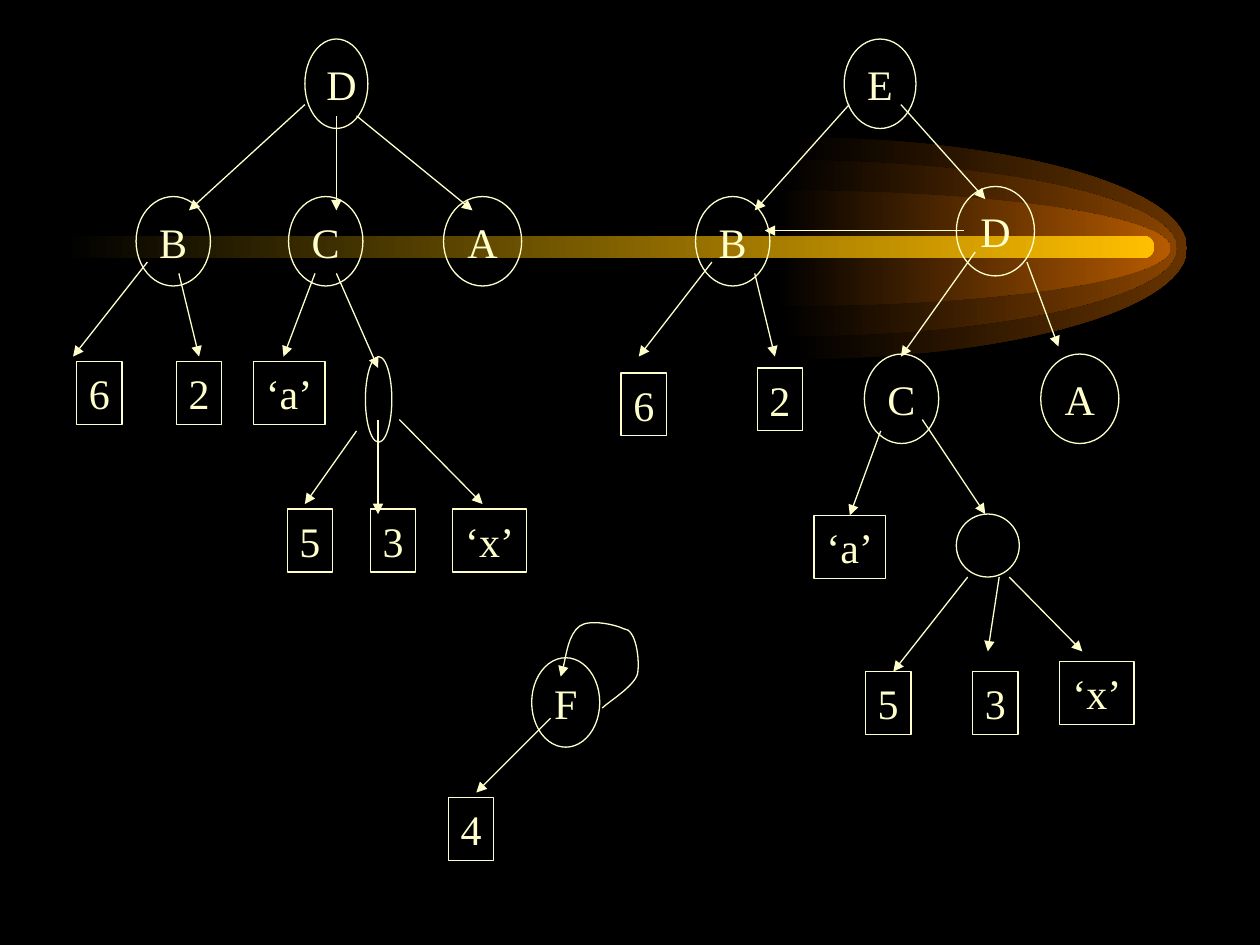
import lxml.etree
import pptx
import pptx.dml.color
import pptx.enum.shapes
import pptx.enum.text
import pptx.oxml.ns
import pptx.util

Inches = pptx.util.Inches
Kind = pptx.enum.shapes.MSO_SHAPE
qn = pptx.oxml.ns.qn
COLORS = {
    "back": "000000", "ink": "FFFFCC", "bar": "FFBF00",
    "outer": "663300", "middle": "894400", "inner": "B75B00",
}


def color(name):
    return pptx.dml.color.RGBColor.from_string(COLORS[name])


def write(frame, text, size=24, font="Times New Roman", ink="ink", wrap=False):
    frame.word_wrap = wrap
    frame.vertical_anchor = pptx.enum.text.MSO_ANCHOR.MIDDLE
    line = frame.paragraphs[0]
    line.alignment = pptx.enum.text.PP_ALIGN.CENTER
    run = line.add_run()
    run.text = text
    run.font.size = pptx.util.Pt(size)
    run.font.name = font
    run.font.color.rgb = color(ink)


class Board:
    def __init__(self, slide, ink="ink", width=0.75):
        self.slide = slide
        self.ink = ink
        self.width = width
        slide.background.fill.solid()
        slide.background.fill.fore_color.rgb = color("back")

    def stroke(self, shape, head=False):
        shape.line.color.rgb = color(self.ink)
        shape.line.width = pptx.util.Pt(self.width)
        if head:
            lxml.etree.SubElement(
                shape.get_or_add_ln(), qn("a:tailEnd"), type="triangle")

    def fade(self, shape, name):
        shape.shadow.inherit = False
        shape.line.fill.background()
        shape.fill.gradient()
        shape.fill.gradient_angle = 0
        for stop, tone, spot in zip(shape.fill.gradient_stops, ("back", name), (0, 1)):
            stop.color.rgb = color(tone)
            stop.position = spot

    def curve(self, points, close):
        points = [(Inches(x), Inches(y)) for x, y in points]
        form = self.slide.shapes.build_freeform(*points[0])
        form.add_line_segments(points[1:], close=close)
        shape = form.convert_to_shape()
        shape.shadow.inherit = False
        lines = list(shape.element.iter(qn("a:lnTo")))
        for i in range(0, len(points) - 1, 3):
            bend = lxml.etree.Element(qn("a:cubicBezTo"))
            lines[i].addprevious(bend)
            for line in lines[i:i + 3]:
                bend.append(line[0])
                line.getparent().remove(line)
        return shape

    def flame(self, x, half, name, y=1.97, long=3.13):
        bend, tip = x + long * 0.55, x + long
        points = [
            (x, y - half), (bend, y - half), (tip, y - half * 0.55), (tip, y),
            (tip, y + half * 0.55), (bend, y + half), (x, y + half)]
        self.fade(self.curve(points, True), name)

    def bar(self, x, y, w, h):
        shape = self.slide.shapes.add_shape(
            Kind.ROUNDED_RECTANGLE, Inches(x), Inches(y), Inches(w), Inches(h))
        shape.adjustments[0] = 0.5
        self.fade(shape, "bar")

    def node(self, kind, text, x, y, w, h, wrap=False):
        shape = self.slide.shapes.add_shape(
            kind, Inches(x), Inches(y), Inches(w), Inches(h))
        shape.shadow.inherit = False
        shape.fill.background()
        self.stroke(shape)
        if text:
            write(shape.text_frame, text, wrap=wrap)
        return shape

    def oval(self, text, x, y, w, h=0.71, wrap=False):
        return self.node(Kind.OVAL, text, x, y, w, h, wrap)

    def leaf(self, text, x, y):
        w = {"‘a’": 0.57, "‘x’": 0.59}.get(text, 0.36)
        return self.node(Kind.RECTANGLE, text, x, y, w, 0.5)

    def arrow(self, x1, y1, x2, y2, goal=None):
        link = self.slide.shapes.add_connector(
            pptx.enum.shapes.MSO_CONNECTOR.STRAIGHT,
            Inches(x1), Inches(y1), Inches(x2), Inches(y2))
        if goal:
            link.end_connect(goal, 0)
        self.stroke(link, head=True)
        lxml.etree.SubElement(link.element.spPr, qn("a:effectLst"))

    def loop(self, points):
        shape = self.curve(points, False)
        shape.fill.background()
        self.stroke(shape, head=True)


OVALS = [
    ("B", 1.08, 1.56, 0.59), ("C", 2.29, 1.56, 0.59), ("A", 3.52, 1.56, 0.62),
    ("", 2.9, 2.83, 0.21, 0.68),
    ("E", 6.7, 0.31, 0.57), ("B", 5.52, 1.56, 0.59), ("D", 7.59, 1.48, 0.62),
    ("C", 6.86, 2.81, 0.59), ("A", 8.26, 2.81, 0.62), ("", 7.59, 4.08, 0.5, 0.5),
    ("F", 4.22, 5.22, 0.54),
]
LEAVES = [
    ("6", 0.61, 2.87), ("2", 1.4, 2.87), ("‘a’", 2.01, 2.87),
    ("5", 2.28, 4.04), ("3", 2.94, 4.04), ("‘x’", 3.59, 4.04),
    ("6", 4.93, 2.96), ("2", 6.01, 2.92),
    ("5", 6.87, 5.33), ("3", 7.72, 5.33), ("‘x’", 8.41, 5.25),
    ("4", 3.56, 6.33),
]
ARROWS = [
    (2.42, 0.83, 1.5, 1.67), (2.67, 0.92, 2.67, 1.67), (2.83, 0.92, 3.75, 1.67),
    (1.17, 2.08, 0.58, 2.83), (1.42, 2.17, 1.58, 2.83),
    (2.67, 2.17, 3, 2.92), (2.5, 2.17, 2.25, 2.83),
    (2.83, 3.42, 2.42, 4), (3, 3.33, 3, 4.08), (3.17, 3.33, 3.83, 4),
    (6.74, 0.83, 5.99, 1.67), (7.15, 0.83, 7.82, 1.58), (7.65, 1.83, 6.07, 1.83),
    (5.65, 2.08, 5.07, 2.83), (5.99, 2.17, 6.15, 2.83),
    (7.74, 2, 7.15, 2.83), (8.15, 2.08, 8.4, 2.75), (7.32, 3.33, 7.82, 4.08),
    (7.68, 4.58, 7.09, 5.33), (7.93, 4.58, 7.84, 5.17), (8.01, 4.58, 8.59, 5.17),
    (4.37, 5.7, 3.78, 6.29),
]
LOOP = [
    (4.78, 5.62), (4.83, 5.57), (5.03, 5.45), (5.06, 5.35),
    (5.08, 5.24), (5.05, 4.99), (4.95, 4.99),
    (4.89, 4.96), (4.68, 4.91), (4.6, 4.97),
    (4.51, 5.04), (4.48, 5.29), (4.45, 5.37),
]


def main():
    deck = pptx.Presentation()
    deck.slide_width, deck.slide_height = Inches(10), Inches(7.5)
    board = Board(deck.slides.add_slide(deck.slide_layouts[6]))
    board.flame(6.29, 0.88, "outer")
    board.flame(6.21, 0.7, "middle")
    board.flame(6.16, 0.46, "inner")
    board.bar(0.5, 1.87, 8.66, 0.18)
    board.oval("D", 2.42, 0.31, 0.5, wrap=True)
    for item in OVALS:
        board.oval(*item)
    for item in LEAVES:
        board.leaf(*item)
    for item in ARROWS:
        board.arrow(*item)
    board.arrow(6.99, 3.42, 6.74, 4.08, board.leaf("‘a’", 6.46, 4.09))
    board.loop(LOOP)
    deck.save("out.pptx")


if __name__ == "__main__":
    main()
